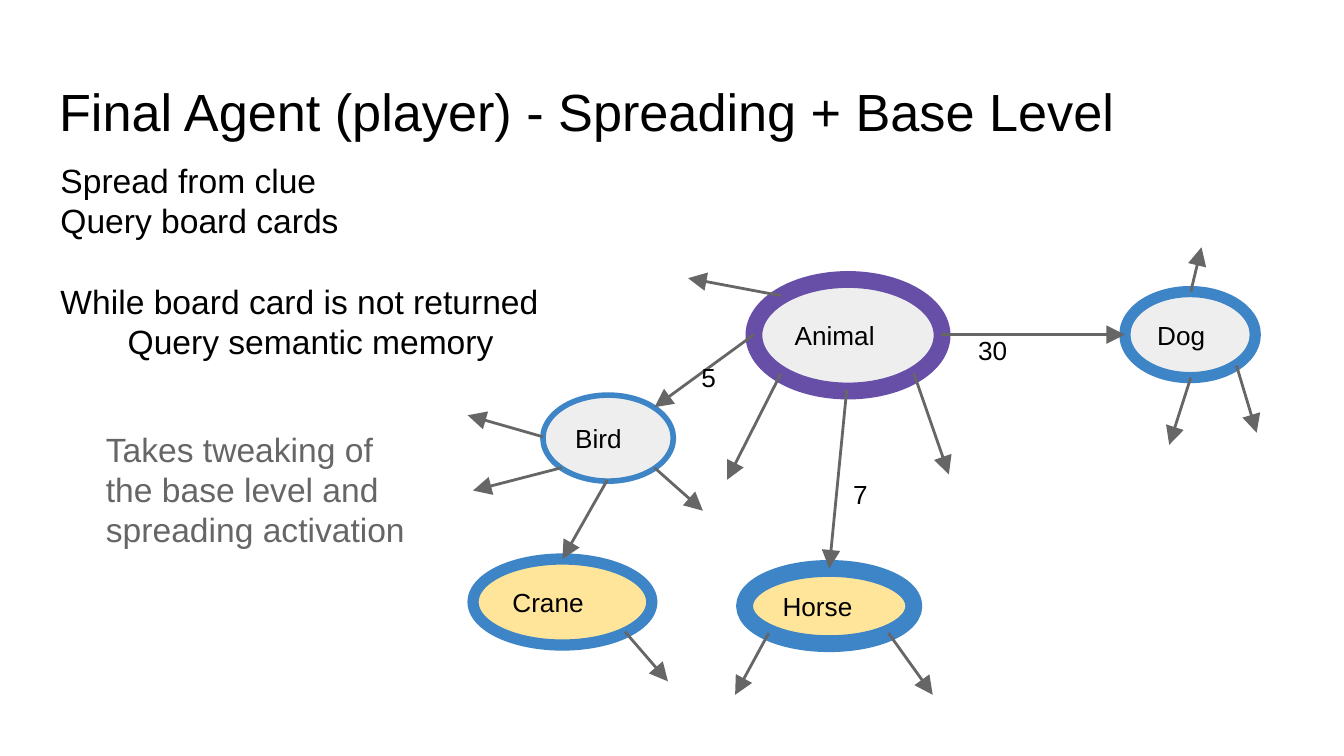
from lxml import etree
from pptx import Presentation
from pptx.dml.color import RGBColor
from pptx.enum.shapes import MSO_CONNECTOR, MSO_SHAPE
from pptx.enum.text import MSO_ANCHOR, MSO_AUTO_SIZE, PP_ALIGN
from pptx.oxml.ns import qn
from pptx.util import Inches, Pt

STRAIGHT = MSO_CONNECTOR.STRAIGHT
ELLIPSE = MSO_SHAPE.OVAL
TOP, MIDDLE = MSO_ANCHOR.TOP, MSO_ANCHOR.MIDDLE
NO_AUTOFIT = MSO_AUTO_SIZE.NONE
LEFT = PP_ALIGN.LEFT

BLACK, GREY = "000000", "666666"
PLAIN, CARD = "EEEEEE", "FFE599"
PURPLE, BLUE = "674EA7", "3D85C6"
TOP_SITE = 0

NODES = [
    ("Animal", (5.61, 2.08, 1.4, 0.83), PLAIN, PURPLE, 9),
    ("Dog", (8.37, 2.17, 0.97, 0.64), PLAIN, BLUE, 6),
    ("Bird", (4.04, 2.94, 0.97, 0.64), PLAIN, BLUE, 3),
    ("Horse", (5.54, 4.23, 1.26, 0.56), CARD, BLUE, 9),
    ("Crane", (3.52, 4.16, 1.33, 0.64), CARD, BLUE, 6),
]
ARROWS = [
    ((7, 2.49), (8.37, 2.49)),
    ((5.61, 2.49), (4.87, 3.03)),
    ((4.18, 3.48), (3.52, 3.65)),
    ((4.04, 3.25), (3.48, 3.09)),
    ((4.87, 3.48), (5.23, 3.8)),
    ((5.81, 2.78), (5.41, 3.57)),
    ((6.8, 2.78), (7.06, 3.53)),
    ((5.81, 2.2), (5.12, 2.07)),
    ((8.86, 2.81), (8.7, 3.31)),
    ((9.2, 2.72), (9.35, 3.22)),
    ((8.86, 2.17), (8.94, 1.84)),
    ((6.61, 4.71), (6.94, 5.17)),
    ((5.72, 4.71), (5.47, 5.17)),
    ((4.65, 4.7), (4.97, 5.07)),
]
ARROWS_TO_CARDS = [
    ((6.3, 2.9), (6.17, 4.23), "Horse"),
    ((4.52, 3.57), (4.18, 4.16), "Crane"),
]
WEIGHTS = [("5", 5.12, 2.59), ("30", 7.18, 2.39), ("7", 6.25, 3.46)]
STEPS = [
    ("Spread from clue", 0, 0),
    ("Query board cards", 0, 0),
    ("While board card is not returned", 0, 0.3),
    ("Query semantic memory", 0.5, 0),
]


def color(value):
    """Return the colour for a hex string."""
    return RGBColor.from_string(value)


def place(box, left, top, width, height):
    """Move and size a box, in inches."""
    box.left, box.top = Inches(left), Inches(top)
    box.width, box.height = Inches(width), Inches(height)


def prepare_frame(box, anchor=TOP):
    """Give a box its margins, wrapping and anchor, and return its frame."""
    frame = box.text_frame
    frame.word_wrap = True
    frame.auto_size = NO_AUTOFIT
    frame.vertical_anchor = anchor
    frame.margin_left = frame.margin_right = Inches(0.1)
    frame.margin_top = frame.margin_bottom = Inches(0.1)
    return frame


def write(para, text, size, hex_color=BLACK):
    """Write one left-aligned paragraph."""
    para.text = text
    para.alignment = LEFT
    para.font.name = "Arial"
    para.font.size = Pt(size)
    para.font.color.rgb = color(hex_color)


def add_label(slide, text, bounds, size, hex_color=BLACK):
    """Add a text box with a single paragraph."""
    box = slide.shapes.add_textbox(*map(Inches, bounds))
    write(prepare_frame(box).paragraphs[0], text, size, hex_color)


def add_node(slide, name, bounds, fill, outline, width):
    """Add a named ellipse of the semantic network."""
    node = slide.shapes.add_shape(ELLIPSE, *map(Inches, bounds))
    node.shadow.inherit = False
    node.fill.solid()
    node.fill.fore_color.rgb = color(fill)
    node.line.color.rgb = color(outline)
    node.line.width = Pt(width)
    write(prepare_frame(node, MIDDLE).paragraphs[0], name, 14)
    return node


def add_arrow(slide, start, end):
    """Add a straight grey arrow between two points."""
    arrow = slide.shapes.add_connector(STRAIGHT, *map(Inches, start + end))
    arrow.line.color.rgb = color(GREY)
    arrow.line.width = Pt(1.5)
    properties = arrow._element.spPr
    etree.SubElement(properties.find(qn("a:ln")), qn("a:tailEnd"),
                     type="triangle", w="lg", len="lg")
    etree.SubElement(properties, qn("a:effectLst"))
    return arrow


def fill_title(slide):
    """Place and write the title."""
    title = slide.shapes.title
    place(title, 0.34, 0.49, 9.32, 0.63)
    para = prepare_frame(title).paragraphs[0]
    write(para, "Final Agent (player) - Spreading + Base Level", 28)


def fill_steps(slide):
    """Place and write the algorithm steps without bullets."""
    body = slide.placeholders[1]
    place(body, 0.35, 1.09, 3.76, 1.67)
    frame = prepare_frame(body)
    for index, (text, indent, gap) in enumerate(STEPS):
        para = frame.add_paragraph() if index else frame.paragraphs[0]
        properties = para._p.get_or_add_pPr()
        properties.set("marL", "0")
        properties.set("indent", str(Inches(indent)))
        etree.SubElement(properties, qn("a:buNone"))
        write(para, text, 18)
        para.space_before = Inches(gap)


def main():
    """Build the slide and save the deck."""
    deck = Presentation()
    deck.slide_width = Inches(10)
    deck.slide_height = deck.slide_width * 9 // 16
    slide = deck.slides.add_slide(deck.slide_layouts[1])
    fill_title(slide)
    fill_steps(slide)
    nodes = {node[0]: add_node(slide, *node) for node in NODES}
    for start, end in ARROWS:
        add_arrow(slide, start, end)
    for start, end, card in ARROWS_TO_CARDS:
        add_arrow(slide, start, end).end_connect(nodes[card], TOP_SITE)
    for text, left, top in WEIGHTS:
        add_label(slide, text, (left, top, 0.59, 0.49), 14)
    note = "Takes tweaking of the base level and spreading activation"
    add_label(slide, note, (0.69, 3.09, 2.43, 1.74), 18, GREY)
    deck.save("out.pptx")


if __name__ == "__main__":
    main()
